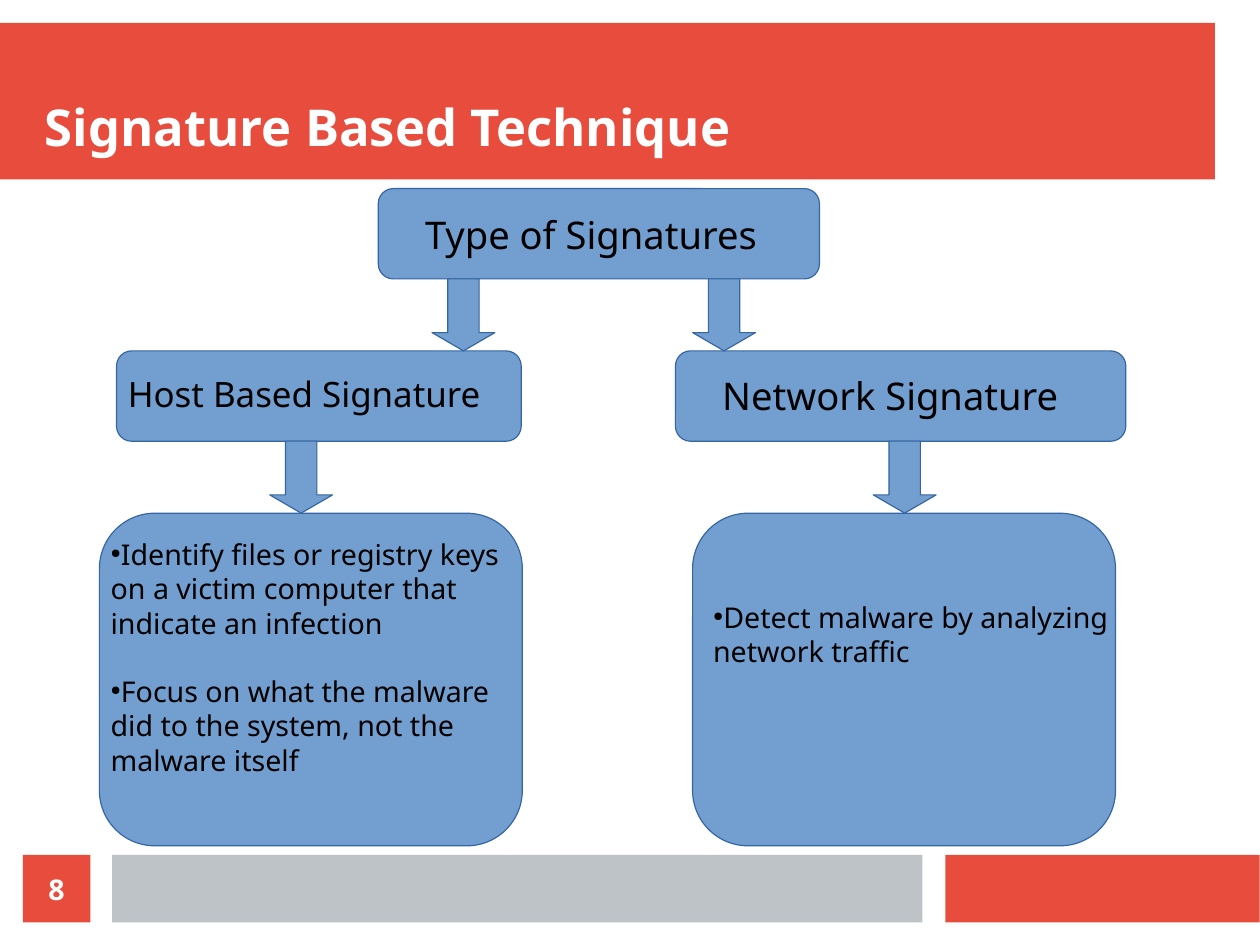
"""Build the slide on types of malware signatures."""
from dataclasses import dataclass

from lxml import etree
from pptx import Presentation
from pptx import util as u
from pptx.dml.color import RGBColor
from pptx.enum import shapes, text
from pptx.oxml.ns import qn

COLORS = {
    "red": "E74C3C",
    "grey": "BDC3C7",
    "blue": "729FCF",
    "outline": "3465A4",
    "white": "FFFFFF",
    "black": "000000",
}
FONT = "Noto Sans"
SHAPE = shapes.MSO_SHAPE
ANCHOR = text.MSO_ANCHOR


@dataclass
class Box:
    x: float
    y: float
    w: float
    h: float
    color: str = "blue"
    kind: int = SHAPE.ROUNDED_RECTANGLE
    outline: str = "outline"


@dataclass
class Label:
    x: float
    y: float
    w: float
    h: float
    size: float
    paragraphs: tuple[str, ...]
    bulleted: bool = False


def bar(x: float, y: float, w: float, h: float, color: str) -> Box:
    return Box(x, y, w, h, color, SHAPE.RECTANGLE, "")


def arrow(x: float, y: float) -> Box:
    return Box(x, y, 0.55, 0.63, kind=SHAPE.DOWN_ARROW)


BARS = [
    bar(0, 0.2, 10.63, 1.37, "red"),
    bar(8.27, 7.48, 2.75, 0.59, "red"),
    bar(0.98, 7.48, 7.09, 0.59, "grey"),
]
PAGE = bar(0.2, 7.48, 0.59, 0.59, "red")
BOXES = [
    Box(3.31, 1.65, 3.86, 0.79),
    Box(0.87, 4.49, 3.7, 2.91),
    Box(5.91, 3.07, 3.94, 0.79),
    Box(1.02, 3.07, 3.54, 0.79),
    Box(6.06, 4.49, 3.7, 2.91),
]
ARROWS = [arrow(2.36, 3.86), arrow(3.78, 2.44), arrow(7.64, 3.86), arrow(6.06, 2.44)]
LABELS = [
    Label(3.62, 1.8, 3.39, 0.49, 24, ("Type of Signatures",)),
    Label(1.02, 3.21, 4.72, 0.81, 22, ("Host Based Signature",)),
    Label(6.22, 3.21, 3.7, 0.49, 24, ("Network Signature",)),
    Label(0.87, 4.65, 3.7, 4.16 - 1.5, 18, (
        "Identify files or registry keys on a victim computer that indicate an infection",
        "Focus on what the malware did to the system, not the malware itself",
    ), True),
    Label(6.14, 5.2, 3.78, 0.97, 18, ("Detect malware by analyzing network traffic",), True),
]


def rgb(name: str) -> RGBColor:
    return RGBColor.from_string(COLORS[name])


def set_font(p, size: float, color: str, bold: bool = False) -> None:
    p.font.name = FONT
    p.font.size = u.Pt(size)
    p.font.bold = bold
    p.font.color.rgb = rgb(color)


def set_frame(tf, anchor, inset_x: float = 0, inset_y: float = 0) -> None:
    tf.word_wrap = True
    tf.vertical_anchor = anchor
    tf.margin_left = tf.margin_right = u.Inches(inset_x)
    tf.margin_top = tf.margin_bottom = u.Inches(inset_y)


def add_bullet(p) -> None:
    pPr = p._p.get_or_add_pPr()
    pPr.set("marL", "0")
    pPr.set("indent", "0")
    size = etree.Element(qn("a:buSzPct"), val="45000")
    char = etree.Element(qn("a:buChar"), char="●")
    at = pPr.index(pPr.find(qn("a:defRPr")))
    pPr.insert(at, size)
    pPr.insert(at + 1, char)


def draw_box(s, box: Box):
    sp = s.shapes.add_shape(box.kind, *map(u.Inches, (box.x, box.y, box.w, box.h)))
    sp.shadow.inherit = False
    sp.fill.solid()
    sp.fill.fore_color.rgb = rgb(box.color)
    if box.outline:
        sp.line.color.rgb = rgb(box.outline)
        sp.line.width = u.Pt(0)
    else:
        sp.line.fill.background()
    if box.kind == SHAPE.DOWN_ARROW:
        sp.adjustments[1] = 0.29
    return sp


def draw_label(s, label: Label) -> None:
    sp = s.shapes.add_textbox(*map(u.Inches, (label.x, label.y, label.w, label.h)))
    tf = sp.text_frame
    set_frame(tf, ANCHOR.TOP, 0.1, 0.05)
    for i, line in enumerate(label.paragraphs):
        p = tf.add_paragraph() if i else tf.paragraphs[0]
        p.text = line
        set_font(p, label.size, "black")
        if i:
            p.space_before = u.Pt(21.5)
        if label.bulleted:
            add_bullet(p)


def main() -> None:
    prs = Presentation()
    prs.slide_width = u.Cm(28)
    prs.slide_height = u.Cm(21)
    s = prs.slides.add_slide(prs.slide_layouts[6])

    for box in BARS:
        draw_box(s, box)

    tf = draw_box(s, PAGE).text_frame
    set_frame(tf, ANCHOR.MIDDLE)
    p = tf.paragraphs[0]
    p.text = "8"
    p.alignment = text.PP_ALIGN.CENTER
    set_font(p, 18, "white", True)

    title = s.shapes.add_textbox(*map(u.Inches, (0.39, 0.39, 10.24, 0.98)))
    set_frame(title.text_frame, ANCHOR.BOTTOM)
    p = title.text_frame.paragraphs[0]
    p.text = "Signature Based Technique"
    set_font(p, 32, "white", True)

    for box in BOXES + ARROWS:
        draw_box(s, box)
    for label in LABELS:
        draw_label(s, label)
    prs.save("out.pptx")


if __name__ == "__main__":
    main()
